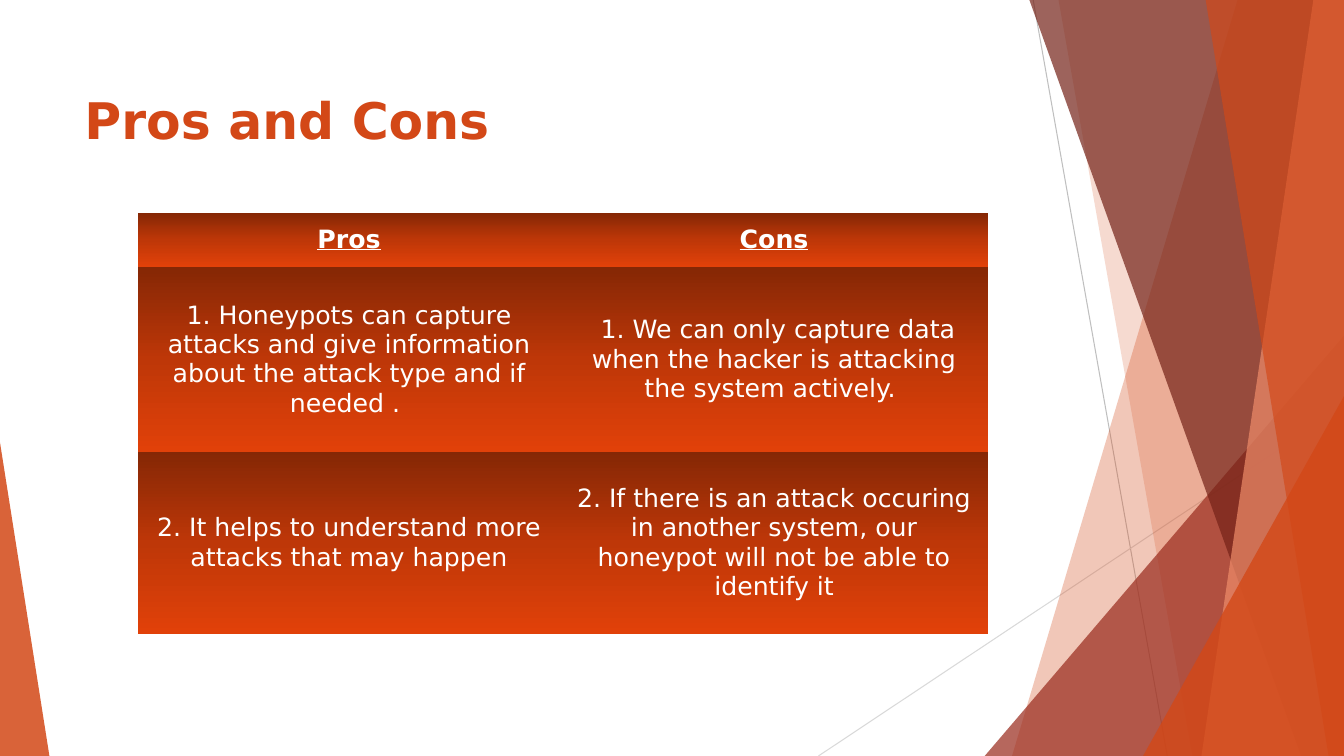
from lxml import etree
from pptx import Presentation, util as u
from pptx.dml import color
from pptx.enum import shapes, text
from pptx.oxml import ns, parse_xml

FONT = "DejaVu Sans"
ACCENT = "D34817"
WIDTH, HEIGHT = 960, 540
GRADIENT = [(0, "852705"), (50, "BE3708"), (100, "E14109")]
ROWS = [
    ("Pros", "Cons"),
    ("1. Honeypots can capture attacks and give information about the attack type and if needed . ",
     " 1. We can only capture data when the hacker is attacking the system actively. "),
    ("2. It helps to understand more attacks that may happen",
     "2. If there is an attack occuring in another system, our honeypot will not be able to identify it"),
]


def rgb(hex_color):
    return color.RGBColor.from_string(hex_color)


def paint(shape, hex_color, opacity):
    """Fill a borderless shape with a partly transparent colour."""
    shape.shadow.inherit = False
    shape.line.fill.background()
    shape.fill.solid()
    shape.fill.fore_color.rgb = rgb(hex_color)
    solid = shape.fill._xPr.find(ns.qn("a:solidFill"))
    etree.SubElement(solid[0], ns.qn("a:alpha")).set("val", str(opacity * 1000))


def add_band(slide, top_x, bottom_x, hex_color, opacity):
    """Full-height band from a slanted left side to the right slide edge."""
    builder = slide.shapes.build_freeform(u.Pt(top_x), u.Pt(-0.6), scale=1)
    corners = [(WIDTH, -0.6), (WIDTH, HEIGHT), (bottom_x, HEIGHT)]
    builder.add_line_segments([(u.Pt(x), u.Pt(y)) for x, y in corners], close=True)
    paint(builder.convert_to_shape(), hex_color, opacity)


def add_corner(slide, left, top, width, apex, hex_color, opacity):
    """Right triangle standing on the bottom slide edge."""
    triangle = slide.shapes.add_shape(
        shapes.MSO_SHAPE.ISOSCELES_TRIANGLE,
        u.Pt(left), u.Pt(top), u.Pt(width), u.Pt(HEIGHT - top))
    triangle.adjustments[0] = apex
    paint(triangle, hex_color, opacity)


def add_thin_line(slide, start, end, hex_color):
    line = slide.shapes.add_connector(
        shapes.MSO_CONNECTOR.STRAIGHT, *(u.Pt(value) for value in start + end))
    line.line.color.rgb = rgb(hex_color)
    line.line.width = u.Pt(0.75)
    etree.SubElement(line._element.spPr, ns.qn("a:effectLst"))


def format_text(paragraph, size, hex_color, bold=False, underline=False):
    for run in paragraph.runs:
        run.font.name = FONT
        run.font.size = u.Pt(size)
        run.font.color.rgb = rgb(hex_color)
        run.font.bold = bold
        run.font.underline = underline


def add_title(slide, title):
    box = slide.shapes.add_textbox(u.Pt(53.3), u.Pt(56.2), u.Pt(676.8), u.Pt(103.7))
    frame = box.text_frame
    frame.word_wrap = True
    frame.margin_top = u.Pt(7.2)
    frame.text = title
    format_text(frame.paragraphs[0], 36, ACCENT, bold=True)


def fill_gradient(cell):
    stops = "".join(
        f'<a:gs pos="{position * 1000}"><a:srgbClr val="{hex_color}"/></a:gs>'
        for position, hex_color in GRADIENT)
    cell._tc.get_or_add_tcPr().append(parse_xml(
        f'<a:gradFill {ns.nsdecls("a")} rotWithShape="1"><a:gsLst>{stops}</a:gsLst>'
        '<a:lin ang="5400000" scaled="0"/></a:gradFill>'))


def add_comparison(slide, rows, column_widths, row_heights):
    frame = slide.shapes.add_table(
        len(rows), len(column_widths), u.Pt(98.6), u.Pt(152.1),
        u.Pt(sum(column_widths)), u.Pt(sum(row_heights)))
    table = frame.table
    table.first_row = table.horz_banding = False
    # Table style without borders
    style = table._tbl.tblPr.find(ns.qn("a:tableStyleId"))
    style.text = "{2D5ABB26-0587-4C30-8999-92F81FD0307C}"
    for column, width in zip(table.columns, column_widths):
        column.width = u.Pt(width)
    for row, height in zip(table.rows, row_heights):
        row.height = u.Pt(height)
    for row_index, row in enumerate(rows):
        is_header = row_index == 0
        for column_index, words in enumerate(row):
            cell = table.cell(row_index, column_index)
            cell.text = words
            cell.vertical_anchor = text.MSO_ANCHOR.MIDDLE
            paragraph = cell.text_frame.paragraphs[0]
            paragraph.alignment = text.PP_ALIGN.CENTER
            format_text(paragraph, 18, "FFFFFF", bold=is_header, underline=is_header)
            fill_gradient(cell)


def add_decoration(slide):
    add_thin_line(slide, (738, 0), (833.8, HEIGHT), "BFBFBF")
    add_thin_line(slide, (WIDTH, 290.2), (584.6, HEIGHT), "D9D9D9")
    add_band(slide, 884.2, 722.9, ACCENT, 30)
    add_band(slide, 756, 851.8, ACCENT, 20)
    add_corner(slide, 703.4, 239.8, 256.6, 1, "9B2D1F", 72)
    add_band(slide, 735.1, 929.5, "742217", 70)
    add_band(slide, 938.2, 858.2, "EF8C6A", 70)
    add_band(slide, 861.1, 949, ACCENT, 65)
    add_corner(slide, 816.5, 283, 143.5, 1, ACCENT, 80)
    add_corner(slide, 0, 316.1, 35.3, 0, ACCENT, 85)


def main():
    presentation = Presentation()
    presentation.slide_width = u.Pt(WIDTH)
    presentation.slide_height = u.Pt(HEIGHT)
    slide = presentation.slides.add_slide(presentation.slide_layouts[6])
    add_decoration(slide)
    add_title(slide, "Pros and Cons")
    add_comparison(slide, ROWS, (301.5, 305.7), (38.6, 132.1, 129.8))
    presentation.save("out.pptx")


if __name__ == "__main__":
    main()
